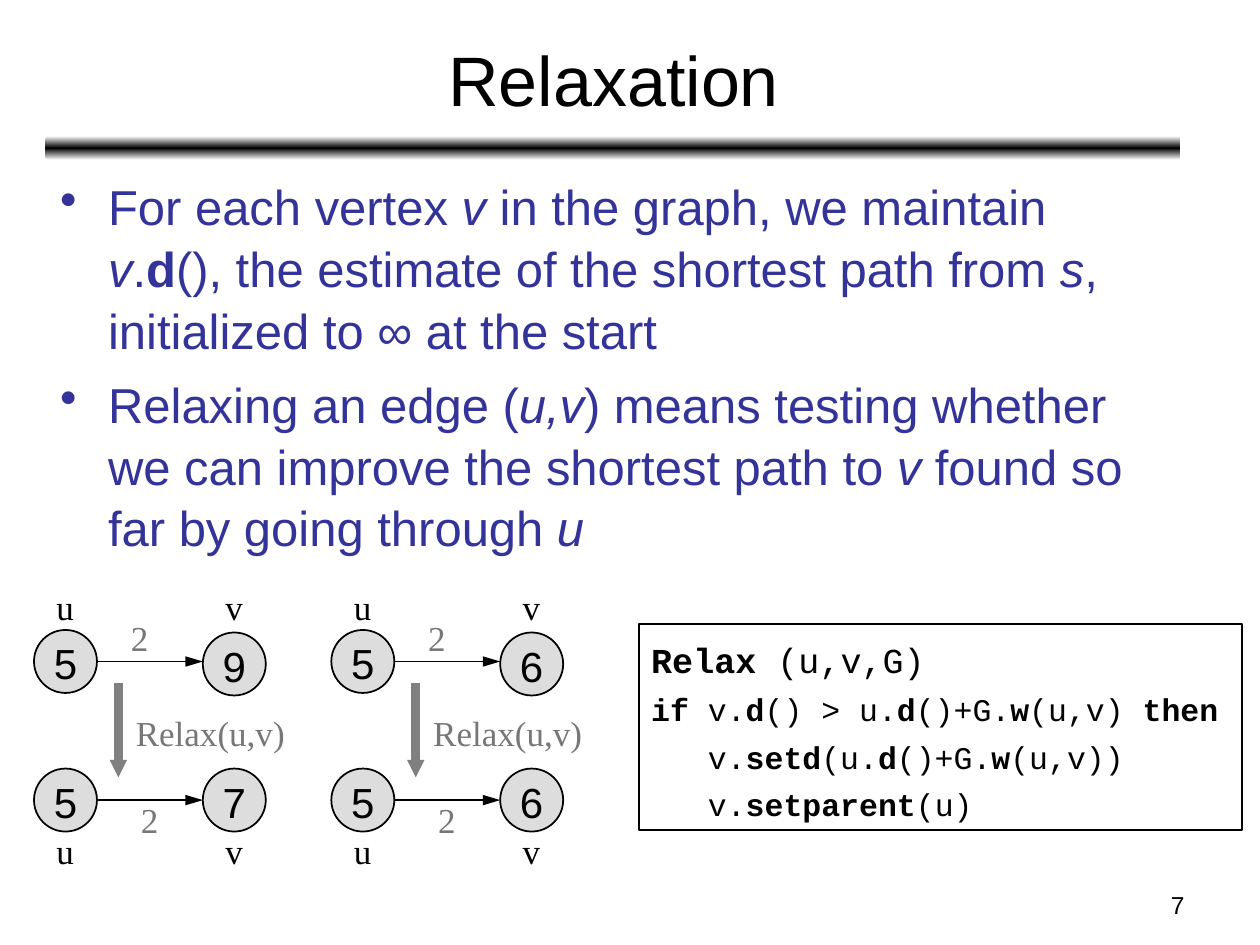
from copy import deepcopy

from lxml import etree
from pptx import Presentation
from pptx.dml.color import RGBColor
from pptx.enum.shapes import MSO_CONNECTOR, MSO_SHAPE
from pptx.enum.text import MSO_ANCHOR as ANCHOR, PP_ALIGN as ALIGN
from pptx.oxml.ns import qn
from pptx.util import Inches, Pt

BLACK = RGBColor(0x00, 0x00, 0x00)
WHITE = RGBColor(0xFF, 0xFF, 0xFF)
NAVY = RGBColor(0x33, 0x33, 0x99)
NODE_FILL = RGBColor(0xDD, 0xDD, 0xDD)
ARROW_GRAY = RGBColor(0x80, 0x80, 0x80)
LABEL_GRAY = RGBColor(0x77, 0x77, 0x77)
SANS, SERIF, MONO = "Arial", "Times New Roman", "Courier New"

TITLE = "Relaxation"
PAGE_NUMBER = "7"
BULLETS = [
    [("For each vertex ", ""), ("v ", "i"), ("in the graph, we maintain ", ""), ("v", "i"),
     (".", ""), ("d", "b"), ("(), the estimate of the shortest path from ", ""), ("s", "i"),
     (", initialized to ∞ at the start", "")],
    [("Relaxing an edge (", ""), ("u,v", "i"),
     (") means testing whether we can improve the shortest path to ", ""), ("v", "i"),
     (" found so far by going through ", ""), ("u", "i")],
]
CODE_HEAD = [("Relax ", "b"), ("(u,v,G)", "")]
CODE_BODY = [
    [("if ", "b"), ("v.", ""), ("d", "b"), ("() > u.", ""), ("d", "b"), ("()+G.", ""),
     ("w", "b"), ("(u,v) ", ""), ("then", "b")],
    [("   v.", ""), ("setd", "b"), ("(u.", ""), ("d", "b"), ("()+G.", ""), ("w", "b"),
     ("(u,v))", "")],
    [("   v.", ""), ("setparent", "b"), ("(u)", "")],
]
EXAMPLES = [
    {"before": ("5", "9"), "after": ("5", "7")},
    {"before": ("5", "6"), "after": ("5", "6")},
]
EDGE_WEIGHT = "2"
STEP = "Relax(u,v)"

EXAMPLE_LEFT, EXAMPLE_PITCH = 0.27, 2.36
NODE_SIZE, NODE_PITCH = 0.5, 1.34
ROWS = [
    {"state": "before", "tops": (5, 5.02), "edge": 5.25, "names": 4.58, "weight": (0.67, 4.83, 0.5)},
    {"state": "after", "tops": (6.1, 6.1), "edge": 6.35, "names": 6.52, "weight": (0.75, 6.27, 0.33)},
]

prs = Presentation()
prs.slide_width, prs.slide_height = Inches(10), Inches(7.5)
slide = prs.slides.add_slide(prs.slide_layouts[6])


def write(frame, paragraphs, size, font=SANS, color=BLACK, align=ALIGN.LEFT,
          anchor=ANCHOR.TOP, wrap=True, before=0, hanging=0, bullet=None, append=False):
    frame.word_wrap, frame.vertical_anchor = wrap, anchor
    if isinstance(paragraphs, str):
        paragraphs = [[(paragraphs, "")]]
    for index, pieces in enumerate(paragraphs):
        first = index == 0 and not append
        paragraph = frame.paragraphs[0] if first else frame.add_paragraph()
        props = paragraph._p.get_or_add_pPr()
        if hanging:
            props.set("marL", str(Inches(hanging)))
            props.set("indent", str(-Inches(hanging)))
        if bullet:
            etree.SubElement(props, qn("a:buChar"), char=bullet)
        paragraph.alignment = align
        paragraph.line_spacing = 1.05
        paragraph.space_before = Pt(0 if first else before)
        for text, style in pieces:
            run = paragraph.add_run()
            run.text = text
            run.font.size, run.font.name = Pt(size), font
            run.font.color.rgb = color
            run.font.bold, run.font.italic = "b" in style, "i" in style


def add_text(box, paragraphs, size, **options):
    frame = slide.shapes.add_textbox(*map(Inches, box)).text_frame
    write(frame, paragraphs, size, **options)


def add_outlined(preset, box, fill=None):
    shape = slide.shapes.add_shape(preset, *map(Inches, box))
    shape.shadow.inherit = False
    if fill is None:
        shape.fill.background()
    else:
        shape.fill.solid()
        shape.fill.fore_color.rgb = fill
    shape.line.color.rgb, shape.line.width = BLACK, Pt(1)
    return shape.text_frame


def add_arrow(start, end, color, width, head_width, head_length):
    arrow = slide.shapes.add_connector(MSO_CONNECTOR.STRAIGHT, *map(Inches, start + end))
    arrow.line.color.rgb, arrow.line.width = color, Pt(width)
    etree.SubElement(arrow.line._get_or_add_ln(), qn("a:tailEnd"),
                     type="triangle", w=head_width, len=head_length)
    etree.SubElement(arrow._element.spPr, qn("a:effectLst"))


def add_divider(box):
    divider = slide.shapes.add_shape(MSO_SHAPE.ROUNDED_RECTANGLE, *map(Inches, box))
    divider.shadow.inherit = False
    divider.line.fill.background()
    divider.fill.gradient()
    divider.fill.gradient_angle = 90
    stop_list = divider.fill._xPr.find(qn("a:gradFill")).find(qn("a:gsLst"))
    stop_list.append(deepcopy(stop_list[-1]))
    for stop, position, color in zip(divider.fill.gradient_stops, (0, 0.5, 1), (WHITE, BLACK, WHITE)):
        stop.position, stop.color.rgb = position, color


def add_example(left, example):
    for row in ROWS:
        for column, (name, value) in enumerate(zip("uv", example[row["state"]])):
            node_left = left + column * NODE_PITCH
            node = add_outlined(MSO_SHAPE.OVAL,
                                (node_left, row["tops"][column], NODE_SIZE, NODE_SIZE), NODE_FILL)
            write(node, value, 24, align=ALIGN.CENTER, anchor=ANCHOR.MIDDLE, wrap=False)
            add_text((node_left + 0.08, row["names"], 0.33, 0.44), name, 20, font=SERIF)
        add_arrow((left + NODE_SIZE, row["edge"]), (left + NODE_PITCH, row["edge"]),
                  BLACK, 1, "med", "lg")
        offset, top, width = row["weight"]
        add_text((left + offset, top, width, 0.44), EDGE_WEIGHT, 20, font=SERIF, color=LABEL_GRAY)
    add_arrow((left + 0.67, 5.42), (left + 0.67, 6.17), ARROW_GRAY, 5, "sm", "sm")
    add_text((left + 0.71, 5.58, 1.5, 0.44), STEP, 20, font=SERIF, color=LABEL_GRAY)


add_divider((0.36, 1.08, 9.01, 0.19))
add_text((7.17, 7, 2.33, 0.35), PAGE_NUMBER, 14, align=ALIGN.RIGHT)
add_text((0.37, 0.11, 9, 0.99), TITLE, 40, align=ALIGN.CENTER, anchor=ANCHOR.MIDDLE)
add_text((0.38, 1.33, 9, 3.28), BULLETS, 28, color=NAVY, before=7, hanging=0.38, bullet="•")

for number, example in enumerate(EXAMPLES):
    add_example(EXAMPLE_LEFT + number * EXAMPLE_PITCH, example)

code = add_outlined(MSO_SHAPE.RECTANGLE, (5.07, 4.95, 4.79, 1.64))
code.margin_top = Inches(0.1)
write(code, [CODE_HEAD], 20, font=MONO, hanging=0.38)
write(code, CODE_BODY, 18, font=MONO, hanging=0.38, before=4.5, append=True)

prs.save("out.pptx")
